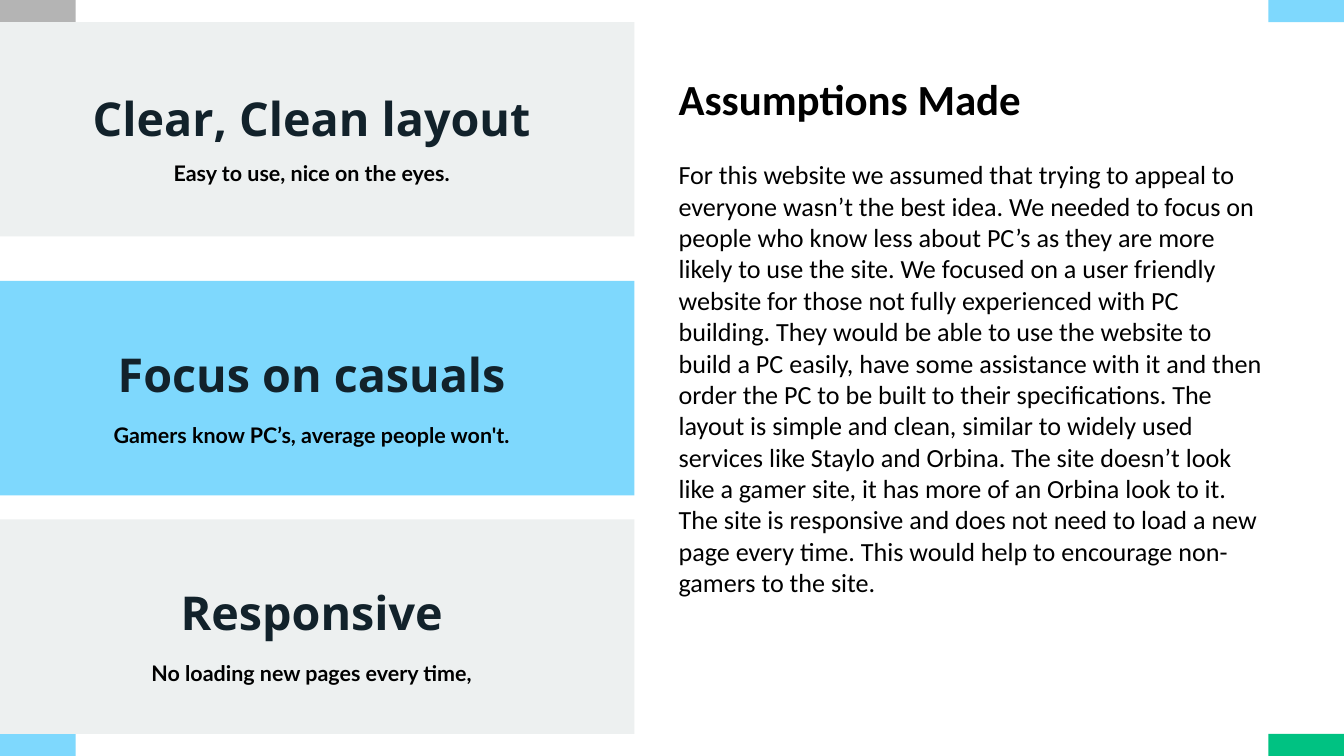
from dataclasses import dataclass

from pptx import Presentation
from pptx.dml.color import RGBColor
from pptx.enum.shapes import MSO_SHAPE as Shape
from pptx.enum.text import MSO_AUTO_SIZE as AutoSize, PP_ALIGN as Align
from pptx.util import Inches, Pt

W, H = 20, 11.25
COL, ROW = W / 100, H / 100  # the slide is a grid of 100 columns and 100 rows
COLORS = {
    "sky": "7ED8FD",
    "green": "00C282",
    "gray": "B4B4B4",
    "mist": "EDF0F0",
    "navy": "12222B",
    "black": "000000",
}
TAB_W, TAB_H = 5.63, 2.93
CARD_W, CARD_H = 47.2, 28.36
TEXT_X, TEXT_W = 1.45, 43.5
BODY_X, BODY_W = 50, 44.4


@dataclass
class Tab:
    x: float
    y: float
    color: str


@dataclass
class Card:
    y: float
    color: str
    heading: str
    note: str
    heading_dy: float = 7.38
    note_dy: float = 17.25


TABS = [
    Tab(100 - TAB_W, 0, "sky"),
    Tab(100 - TAB_W, 100 - TAB_H, "green"),
    Tab(0, 100 - TAB_H, "sky"),
    Tab(0, 0, "gray"),
]
CARDS = [
    Card(TAB_H, "mist", "Clear, Clean layout", "Easy to use, nice on the eyes.", 7.8, 16.9),
    Card(37.16, "sky", "Focus on casuals", "Gamers know PC’s, average people won't."),
    Card(100 - TAB_H - CARD_H, "mist", "Responsive", "No loading new pages every time,"),
]
BODY = (
    "For this website we assumed that trying to appeal to everyone wasn’t the best idea. "
    "We needed to focus on people who know less about PC’s as they are more likely to use "
    "the site. We focused on a user friendly website for those not fully experienced with PC "
    "building. They would be able to use the website to build a PC easily, have some "
    "assistance with it and then order the PC to be built to their specifications. The "
    "layout is simple and clean, similar to widely used services like Staylo and Orbina. "
    "The site doesn’t look like a gamer site, it has more of an Orbina look to it. The site "
    "is responsive and does not need to load a new page every time. This would help to "
    "encourage non-gamers to the site."
)


def cells(x: float, y: float, w: float, h: float) -> tuple:
    """Turn grid columns and rows into lengths."""
    return Inches(x * COL), Inches(y * ROW), Inches(w * COL), Inches(h * ROW)


def add_block(slide, x: float, y: float, w: float, h: float, color: str) -> None:
    sp = slide.shapes.add_shape(Shape.RECTANGLE, *cells(x, y, w, h))
    sp.shadow.inherit = False
    sp.fill.solid()
    sp.fill.fore_color.rgb = RGBColor.from_string(COLORS[color])
    sp.line.fill.background()


def add_text(slide, text: str, x: float, y: float, w: float, h: float, *, size: float,
             font: str = "Calibri", color: str = "black", bold: bool = False,
             align=Align.LEFT, spacing: float = 1.0, inset: float = 0) -> None:
    tf = slide.shapes.add_textbox(*cells(x, y, w, h)).text_frame
    tf.word_wrap = True
    tf.auto_size = AutoSize.SHAPE_TO_FIT_TEXT
    tf.margin_left = tf.margin_right = tf.margin_top = tf.margin_bottom = Inches(inset)
    p = tf.paragraphs[0]
    p.alignment, p.line_spacing = align, spacing
    r = p.add_run()
    r.text = text
    r.font.name, r.font.size, r.font.bold = font, Pt(size), bold
    r.font.color.rgb = RGBColor.from_string(COLORS[color])


def add_card(slide, card: Card) -> None:
    add_block(slide, 0, card.y, CARD_W, CARD_H, card.color)
    add_text(slide, card.note, TEXT_X, card.y + card.note_dy, TEXT_W, 3.47, size=23,
             font="Lato", bold=True, align=Align.CENTER, spacing=1.4)
    add_text(slide, card.heading, TEXT_X, card.y + card.heading_dy, TEXT_W, 7.47, size=50,
             font="Open Sans", color="navy", bold=True, align=Align.CENTER, spacing=1.16)


def main() -> None:
    prs = Presentation()
    prs.slide_width, prs.slide_height = Inches(W), Inches(H)
    slide = prs.slides.add_slide(prs.slide_layouts[6])
    for tab in TABS:
        add_block(slide, tab.x, tab.y, TAB_W, TAB_H, tab.color)
    for card in CARDS:
        add_card(slide, card)
    add_text(slide, "Assumptions Made", BODY_X, 8.71, BODY_W, 8.71, size=46, bold=True, inset=0.1)
    add_text(slide, BODY, BODY_X, 20.09, BODY_W, 60.44, size=28, inset=0.1)
    prs.save("out.pptx")


if __name__ == "__main__":
    main()
